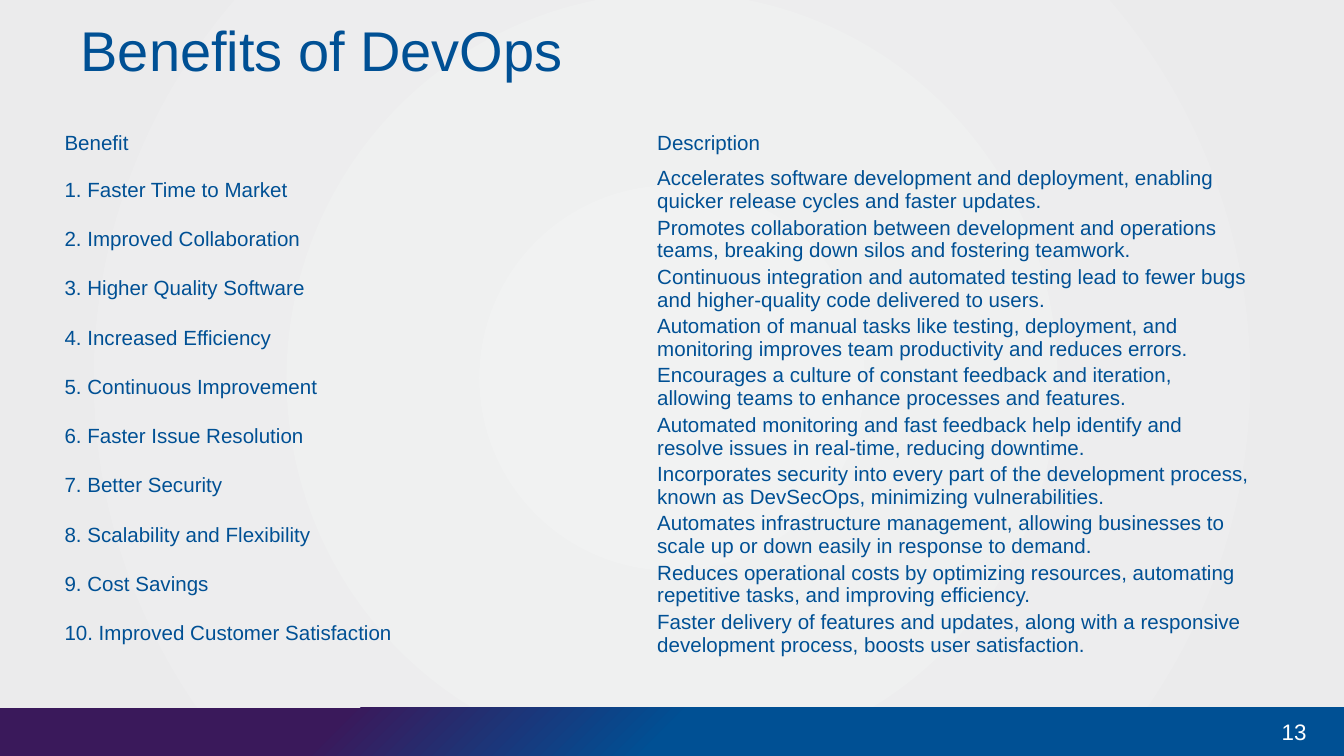
from lxml import etree
from pptx import Presentation
from pptx import util as u
from pptx.dml.color import RGBColor
from pptx.enum import shapes, text
from pptx.oxml.ns import qn

THEME = {
    "font": "Arial", "blue": "005094", "purple": "3A195B", "white": "FFFFFF",
    "background": [(0, "F1F2F2"), (100, "EBEBEC")],
    "title": 30, "body": 11, "number": 12,
}
NO_STYLE_NO_GRID = "{2D5ABB26-0587-4C30-8999-92F81FD0307C}"

BENEFITS = [
    ("Benefit", "Description"),
    ("1. Faster Time to Market",
     "Accelerates software development and deployment, enabling quicker release cycles and faster updates."),
    ("2. Improved Collaboration",
     "Promotes collaboration between development and operations teams, breaking down silos and fostering teamwork."),
    ("3. Higher Quality Software",
     "Continuous integration and automated testing lead to fewer bugs and higher-quality code delivered to users."),
    ("4. Increased Efficiency",
     "Automation of manual tasks like testing, deployment, and monitoring improves team productivity and reduces errors."),
    ("5. Continuous Improvement",
     "Encourages a culture of constant feedback and iteration, allowing teams to enhance processes and features."),
    ("6. Faster Issue Resolution",
     "Automated monitoring and fast feedback help identify and resolve issues in real-time, reducing downtime."),
    ("7. Better Security",
     "Incorporates security into every part of the development process, known as DevSecOps, minimizing vulnerabilities."),
    ("8. Scalability and Flexibility",
     "Automates infrastructure management, allowing businesses to scale up or down easily in response to demand."),
    ("9. Cost Savings",
     "Reduces operational costs by optimizing resources, automating repetitive tasks, and improving efficiency."),
    ("10. Improved Customer Satisfaction",
     "Faster delivery of features and updates, along with a responsive development process, boosts user satisfaction."),
]


def write(frame, words, size, color, align=text.PP_ALIGN.LEFT):
    frame.word_wrap = True
    frame.vertical_anchor = text.MSO_ANCHOR.MIDDLE
    paragraph = frame.paragraphs[0]
    paragraph.alignment = align
    run = paragraph.add_run()
    run.text = words
    run.font.name = THEME["font"]
    run.font.size = u.Pt(THEME[size])
    run.font.color.rgb = RGBColor.from_string(THEME[color])


def radial_gradient(fill, properties, stops, focus):
    """Turn a fill into a circular gradient; focus gives left, top, right, bottom in percent."""
    fill.gradient()
    gradient = properties.find(qn("a:gradFill"))
    for child in list(gradient):
        gradient.remove(child)
    stop_list = etree.SubElement(gradient, qn("a:gsLst"))
    for position, color in stops:
        stop = etree.SubElement(stop_list, qn("a:gs"), pos=str(position * 1000))
        etree.SubElement(stop, qn("a:srgbClr"), val=color)
    circle = etree.SubElement(gradient, qn("a:path"), path="circle")
    sides = {side: str(share * 1000) for side, share in zip("ltrb", focus)}
    etree.SubElement(circle, qn("a:fillToRect"), **sides)


# Slide and background
presentation = Presentation()
width = presentation.slide_width = u.Inches(10)
height = presentation.slide_height = width * 9 // 16
slide = presentation.slides.add_slide(presentation.slide_layouts.get_by_name("Title Only"))
background = slide.background.fill
radial_gradient(background, slide._element.find(".//" + qn("p:bgPr")),
                THEME["background"], (50, 50, 50, 50))

# Grid, as shares of the slide
left = int(width * 0.048)
column = int(width * 0.441)
header_top, header_height = int(height * 0.158), int(height * 0.062)
first_top, row_height = int(height * 0.19), int(height * 0.123)
row_pitch = u.Inches(3.3) / 9
footer_top = int(height * 0.9365)
footer_height = height - footer_top

# Footer bar
bar = slide.shapes.add_shape(shapes.MSO_SHAPE.RECTANGLE, 0, footer_top, width, footer_height)
bar.shadow.inherit = False
bar.line.fill.background()
radial_gradient(bar.fill, bar._element.spPr,
                [(0, THEME["blue"]), (50, THEME["blue"]), (75, THEME["purple"])],
                (100, 100, 0, 0))

# Title
title = slide.shapes.title
title.left, title.top = left, int(height * 0.021)
title.width, title.height = int(width * 0.913), int(height * 0.098)
frame = title.text_frame
frame.auto_size = text.MSO_AUTO_SIZE.SHAPE_TO_FIT_TEXT
frame.margin_left, frame.margin_right = u.Inches(0.12), 0
frame.margin_top, frame.margin_bottom = 0, u.Inches(0.05)
write(frame, "Benefits of DevOps", "title", "blue")

# Page number
number = slide.shapes.add_textbox(int(width * 0.926), footer_top, int(width * 0.056), footer_height)
write(number.text_frame, "13", "number", "white", text.PP_ALIGN.RIGHT)

# Benefits: one single-row table per line, header first
for index, benefit in enumerate(BENEFITS):
    if index == 0:
        top, tall = header_top, header_height
    else:
        top, tall = int(first_top + (index - 1) * row_pitch), row_height
    table = slide.shapes.add_table(1, 2, left, top, 2 * column, tall).table
    table.first_row = table.horz_banding = False
    table._tbl.tblPr.find(qn("a:tableStyleId")).text = NO_STYLE_NO_GRID
    for cell, words in zip(table.iter_cells(), benefit):
        cell.fill.background()
        cell.margin_left = cell.margin_right = cell.margin_top = cell.margin_bottom = 0
        cell.vertical_anchor = text.MSO_ANCHOR.MIDDLE
        write(cell.text_frame, words, "body", "blue")

presentation.save("out.pptx")
